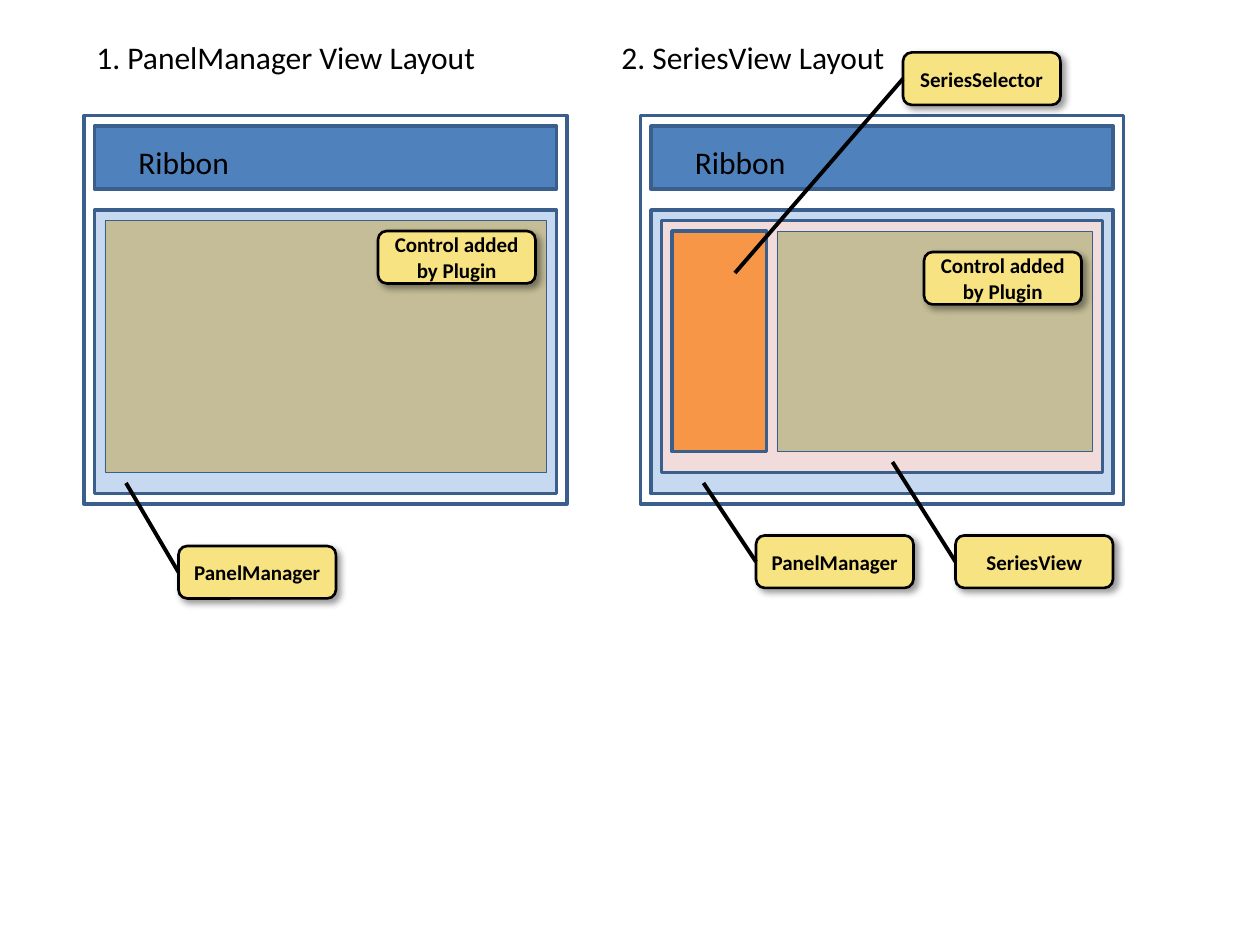
from lxml.etree import SubElement
from pptx import Presentation
from pptx.dml.color import RGBColor
from pptx.enum.shapes import MSO_CONNECTOR, MSO_SHAPE
from pptx.enum.text import MSO_ANCHOR, MSO_AUTO_SIZE, PP_ALIGN
from pptx.oxml.ns import qn
from pptx.util import Inches, Pt

BLACK = RGBColor(0x00, 0x00, 0x00)
EDGE = RGBColor(0x3A, 0x5F, 0x8C)
BLUE = RGBColor(0x4F, 0x81, 0xBD)
PALE = RGBColor(0xC6, 0xD9, 0xF1)
PINK = RGBColor(0xF2, 0xDC, 0xDB)
ORANGE = RGBColor(0xF7, 0x96, 0x46)
TAN = RGBColor(0xC4, 0xBD, 0x97)
YELLOW = RGBColor(0xF7, 0xE3, 0x82)

WIDE, HIGH = 10, 7.5
CELLS = 12  # grid cells to the inch
TAG_W, TAG_H = 15, 5


def grid(*cells):
    """Turn grid columns and rows into lengths."""
    return [Inches(cell / CELLS) for cell in cells]


def style(frame, size, bold=False):
    """Format all runs of a text frame."""
    for para in frame.paragraphs:
        for run in para.runs:
            run.font.name = "Calibri"
            run.font.size = Pt(size)
            run.font.bold = bold
            run.font.color.rgb = BLACK


def panel(slide, x, y, w, h, fill=None, weight=2, edge=EDGE,
          kind=MSO_SHAPE.RECTANGLE):
    """Draw an outlined box, filled if a colour is given."""
    box = slide.shapes.add_shape(kind, *grid(x, y, w, h))
    box.shadow.inherit = False
    if fill is None:
        box.fill.background()
    else:
        box.fill.solid()
        box.fill.fore_color.rgb = fill
    box.line.color.rgb = edge
    box.line.width = Pt(weight)
    return box


def label(slide, x, y, w, text):
    """Write one line of large text."""
    box = slide.shapes.add_textbox(*grid(x, y, w, 4.8))
    frame = box.text_frame
    frame.word_wrap = True
    frame.auto_size = MSO_AUTO_SIZE.SHAPE_TO_FIT_TEXT
    frame.text = text
    style(frame, 18)


def shade(box):
    """Give a box a soft shadow to the lower right."""
    effects = box._element.spPr.find(qn("a:effectLst"))
    outer = SubElement(effects, qn("a:outerShdw"), blurRad=str(Pt(4)),
                       dist=str(Pt(3)), dir="2700000", algn="tl",
                       rotWithShape="0")
    tone = SubElement(outer, qn("a:srgbClr"), val=str(BLACK))
    SubElement(tone, qn("a:alpha"), val="40000")


def tag(slide, x, y, text, target=None):
    """Draw a yellow callout, with a line to its target if there is one."""
    box = panel(slide, x, y, TAG_W, TAG_H, YELLOW, 1.5, BLACK,
                MSO_SHAPE.ROUNDED_RECTANGLE)
    shade(box)
    frame = box.text_frame
    frame.word_wrap = True
    frame.vertical_anchor = MSO_ANCHOR.MIDDLE
    frame.text = text
    frame.paragraphs[0].alignment = PP_ALIGN.CENTER
    style(frame, 12, True)
    if target:
        pointer(slide, target, (x, y + TAG_H / 2))


def pointer(slide, start, end):
    """Draw a thick black line."""
    line = slide.shapes.add_connector(MSO_CONNECTOR.STRAIGHT,
                                      *grid(*start, *end))
    line.line.color.rgb = BLACK
    line.line.width = Pt(2.25)
    SubElement(line._element.spPr, qn("a:effectLst"))


def window(slide, x):
    """Draw a window frame with its ribbon and panel area."""
    panel(slide, x, 11, 46, 37)
    panel(slide, x + 1, 12, 44, 6, BLUE)
    label(slide, x + 4, 13, 37, "Ribbon")
    panel(slide, x + 1, 20, 44, 27, PALE)


def main():
    """Build the slide and save it."""
    deck = Presentation()
    deck.slide_width, deck.slide_height = Inches(WIDE), Inches(HIGH)
    slide = deck.slides.add_slide(deck.slide_layouts[6])

    for x in (8, 61):
        window(slide, x)
    panel(slide, 63, 21, 42, 24, PINK)
    tag(slide, 17, 52, "PanelManager", (12, 46))
    tag(slide, 72, 51, "PanelManager", (67, 46))
    tag(slide, 91, 51, "SeriesView", (85, 44))
    panel(slide, 64, 22, 9, 21, ORANGE)
    tag(slide, 86, 5, "SeriesSelector", (70, 26))

    panel(slide, 10, 21, 42, 24, TAN, 0.25)
    panel(slide, 74, 22, 30, 21, TAN, 0.25)
    for x, y in ((36, 22), (88, 24)):
        tag(slide, x, y, "Control added by Plugin")

    label(slide, 8, 3, 42, "1. PanelManager View Layout")
    label(slide, 58, 3, 42, "2. SeriesView Layout")
    deck.save("out.pptx")


main()
